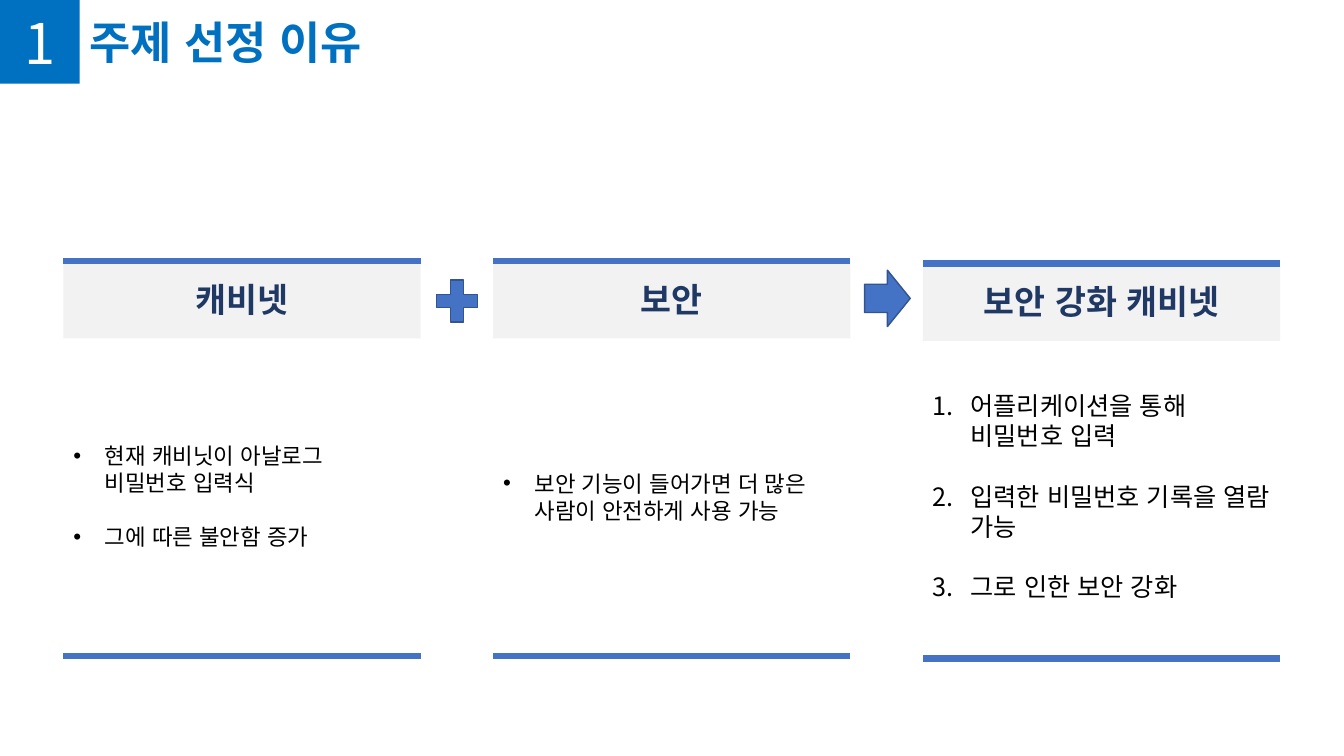
"""Build the slide on why the secure cabinet topic was chosen."""
from lxml import etree
from pptx import Presentation
from pptx.dml.color import RGBColor
from pptx.enum.lang import MSO_LANGUAGE_ID
from pptx.enum.shapes import MSO_CONNECTOR, MSO_SHAPE
from pptx.enum.text import MSO_ANCHOR, MSO_AUTO_SIZE, PP_ALIGN
from pptx.oxml.ns import qn
from pptx.util import Cm, Pt

RECTANGLE = MSO_SHAPE.RECTANGLE
PLUS = MSO_SHAPE.MATH_PLUS
ARROW = MSO_SHAPE.RIGHT_ARROW
STRAIGHT = MSO_CONNECTOR.STRAIGHT
TOP, MIDDLE = MSO_ANCHOR.TOP, MSO_ANCHOR.MIDDLE
LEFT, CENTER = PP_ALIGN.LEFT, PP_ALIGN.CENTER

FONT = "Noto Sans CJK KR"
BLUE = RGBColor(0x00, 0x70, 0xC0)
ACCENT = RGBColor(0x44, 0x72, 0xC4)
OUTLINE = RGBColor(0x32, 0x54, 0x91)
NAVY = RGBColor(0x20, 0x38, 0x64)
GRAY = RGBColor(0xF2, 0xF2, 0xF2)
WHITE = RGBColor(0xFF, 0xFF, 0xFF)
BLACK = RGBColor(0x00, 0x00, 0x00)

COLUMN_LEFT, COLUMN_PITCH, COLUMN_WIDTH = 1.6, 10.83, 9
BULLET = ("a:buChar", {"char": "•"})
NUMBER = ("a:buAutoNum", {"type": "arabicPeriod"})


def write_text(shape, lines, size, color, bold=False, align=LEFT, anchor=TOP):
    frame = shape.text_frame
    frame.text = "\n".join(lines)
    frame_format = {
        "word_wrap": True, "auto_size": MSO_AUTO_SIZE.NONE, "vertical_anchor": anchor,
        "margin_left": Cm(0.25), "margin_right": Cm(0.25),
        "margin_top": Cm(0.13), "margin_bottom": Cm(0.13),
    }
    for name, value in frame_format.items():
        setattr(frame, name, value)
    font_format = {"name": FONT, "size": Pt(size), "bold": bold,
                   "language_id": MSO_LANGUAGE_ID.KOREAN}
    for paragraph in frame.paragraphs:
        paragraph.alignment = align
        paragraph.line_spacing = Pt(size * 1.2)
        paragraph.space_before = Pt(0)
        font = paragraph.runs[0].font
        for name, value in font_format.items():
            setattr(font, name, value)
        font.color.rgb = color
        etree.SubElement(font._element, qn("a:ea"), typeface=FONT)


def add_block(kind, left, top, width, height, fill, outline=None):
    shape = slide.shapes.add_shape(kind, Cm(left), Cm(top), Cm(width), Cm(height))
    shape.shadow.inherit = False
    shape.fill.solid()
    shape.fill.fore_color.rgb = fill
    if outline is None:
        shape.line.fill.background()
    else:
        shape.line.color.rgb = outline
        shape.line.width = Pt(1)
    return shape


presentation = Presentation()
presentation.slide_width = Cm(33.87)
presentation.slide_height = Cm(19.05)
slide = presentation.slides.add_slide(presentation.slide_layouts.get_by_name("Comparison"))
title, *bodies = slide.placeholders

title.left, title.top, title.width, title.height = Cm(2.01), Cm(0.25), Cm(9), Cm(1.63)
write_text(title, ["주제 선정 이유"], 32, BLUE, bold=True)

number_box = add_block(RECTANGLE, 0, 0, 2.01, 2.11, BLUE)
write_text(number_box, ["1"], 40, WHITE, align=CENTER, anchor=MIDDLE)

columns = [
    ("캐비넷", 0, 11.02, 3, 16, 0.79, BULLET,
     ["현재 캐비닛이 아날로그 비밀번호 입력식", "그에 따른 불안함 증가"]),
    ("보안", 0, 11.71, 1.63, 16, 0.79, BULLET,
     ["보안 기능이 들어가면 더 많은 사람이 안전하게 사용 가능"]),
    ("보안 강화 캐비넷", 0.06, 9.7, 5.64, 18, 0.95, NUMBER,
     ["어플리케이션을 통해 비밀번호 입력", "입력한 비밀번호 기록을 열람 가능", "그로 인한 보안 강화"]),
]
for index, column in enumerate(columns):
    heading, shift, list_top, list_height, size, indent, marker, items = column
    left = COLUMN_LEFT + index * COLUMN_PITCH
    header = add_block(RECTANGLE, left, 6.52 + shift, COLUMN_WIDTH, 2.01, GRAY)
    write_text(header, [heading], 24, NAVY, bold=True, align=CENTER, anchor=MIDDLE)

    for rule_top in (6.58 + shift, 16.53 + shift):
        rule = slide.shapes.add_connector(
            STRAIGHT, Cm(left), Cm(rule_top), Cm(left + COLUMN_WIDTH), Cm(rule_top))
        rule.line.color.rgb = ACCENT
        rule.line.width = Pt(4.5)
        etree.SubElement(rule._element.spPr, qn("a:effectLst"))

    body = bodies[index]
    body.left, body.top = Cm(left), Cm(list_top)
    body.width, body.height = Cm(COLUMN_WIDTH), Cm(list_height)
    write_text(body, items, size, BLACK)
    for position, paragraph in enumerate(body.text_frame.paragraphs):
        if position:
            paragraph.space_before = Pt(size * 1.2)
        properties = paragraph._p.get_or_add_pPr()
        properties.set("marL", str(Cm(indent)))
        properties.set("indent", str(-Cm(indent)))
        etree.SubElement(properties, qn("a:buFont"), typeface="Arial")
        etree.SubElement(properties, qn(marker[0]), marker[1])

for unused in bodies[len(columns):]:
    unused._element.getparent().remove(unused._element)

add_block(PLUS, 10.82, 6.86, 1.4, 1.45, ACCENT, OUTLINE)
add_block(ARROW, 21.79, 6.81, 1.15, 1.42, ACCENT, OUTLINE)

presentation.save("out.pptx")
